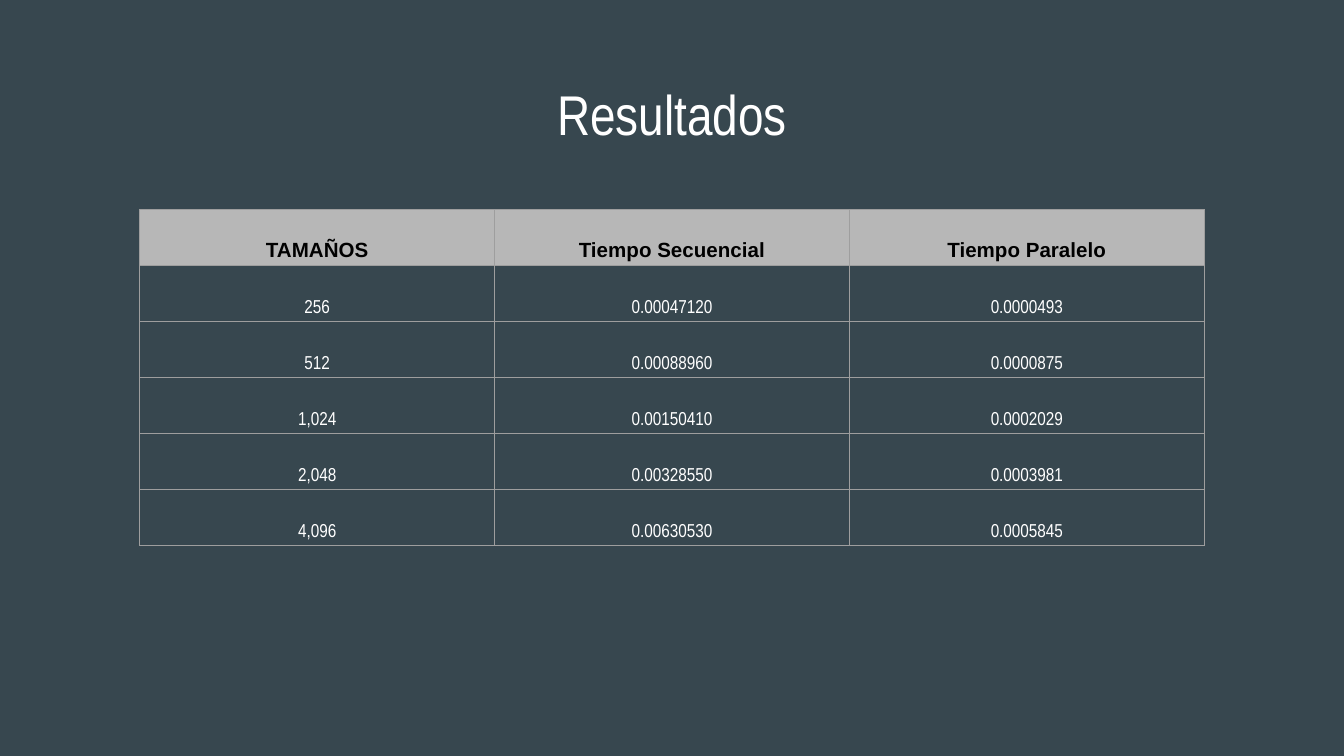
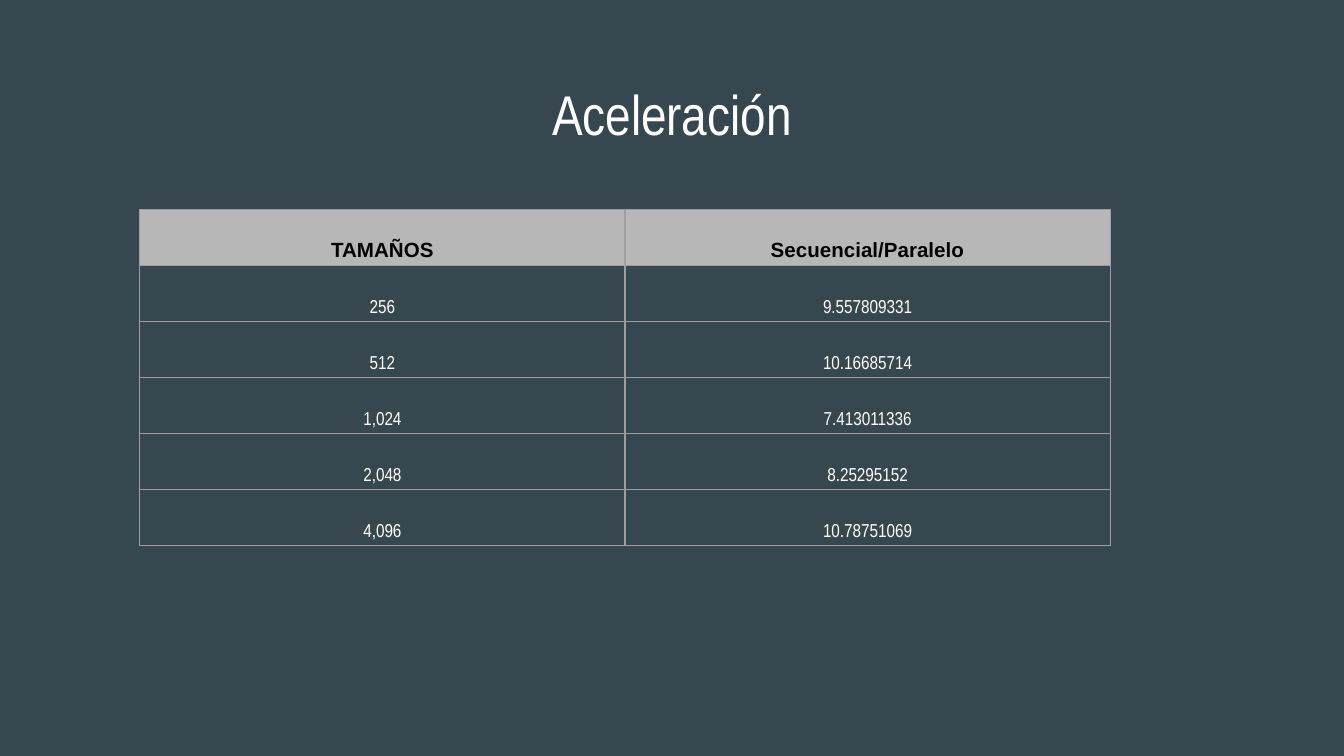
import pptx
import pptx.dml.color
import pptx.enum.text
import pptx.oxml
import pptx.oxml.ns
import pptx.util
from pptx.util import Inches

SLIDE_WIDTH = Inches(10)
SLIDE_HEIGHT = SLIDE_WIDTH * 9 // 16

BACKGROUND = "37474F"
WHITE = "FFFFFF"
BLACK = "000000"
HEADER_GRAY = "B7B7B7"
BORDER_GRAY = "9E9E9E"
BODY_FONT = "Arial Narrow"
HEADER_FONT = "Arial"

SIZES = ["256", "512", "1,024", "2,048", "4,096"]
SEQUENTIAL = ["0.00047120", "0.00088960", "0.00150410", "0.00328550", "0.00630530"]
PARALLEL = ["0.0000493", "0.0000875", "0.0002029", "0.0003981", "0.0005845"]
SPEEDUP = ["9.557809331", "10.16685714", "7.413011336", "8.25295152", "10.78751069"]

# Boxes: left, top, width, height in inches
TITLE_BOX = (0.34, 0.49, 9.32, 0.63)
TIMES_BOX = (1.04, 1.56, 7.92, 2.5)
SPEEDUP_BOX = (1.04, 1.56, 7.22, 2.5)


def color(hex_string):
    return pptx.dml.color.RGBColor.from_string(hex_string)


def style_text(paragraph, font_name, size, hex_string, bold=False):
    paragraph.alignment = pptx.enum.text.PP_ALIGN.CENTER
    for run in paragraph.runs:
        run.font.name = font_name
        run.font.size = pptx.util.Pt(size)
        run.font.color.rgb = color(hex_string)
        run.font.bold = bold


def add_borders(cell):
    properties = cell._tc.get_or_add_tcPr()
    for side in ("lnL", "lnR", "lnT", "lnB"):
        properties.append(pptx.oxml.parse_xml(
            f'<a:{side} {pptx.oxml.ns.nsdecls("a")} w="{pptx.util.Pt(0.75)}">'
            f'<a:solidFill><a:srgbClr val="{BORDER_GRAY}"/></a:solidFill>'
            f'</a:{side}>'))


def add_title(slide, box, text):
    frame = slide.shapes.add_textbox(*map(Inches, box)).text_frame
    frame.word_wrap = True
    frame.margin_left = frame.margin_right = Inches(0.1)
    frame.margin_top = frame.margin_bottom = Inches(0.1)
    frame.text = text
    style_text(frame.paragraphs[0], BODY_FONT, 30, WHITE)


def fill_cell(cell, text, is_header):
    cell.vertical_anchor = pptx.enum.text.MSO_ANCHOR.BOTTOM
    cell.margin_left = cell.margin_right = Inches(0.03)
    cell.margin_top = cell.margin_bottom = Inches(0.03)
    cell.text_frame.text = text
    paragraph = cell.text_frame.paragraphs[0]
    paragraph.line_spacing = 1.15

    # Borders come before the fill in the cell properties
    add_borders(cell)
    if is_header:
        cell.fill.solid()
        cell.fill.fore_color.rgb = color(HEADER_GRAY)
        style_text(paragraph, HEADER_FONT, 11, BLACK, bold=True)
    else:
        cell.fill.background()
        style_text(paragraph, BODY_FONT, 10, WHITE)


def add_results_table(slide, box, columns):
    """Draw a table from a dict of header -> values, with equal columns and rows."""
    rows = [list(columns), *zip(*columns.values())]
    table = slide.shapes.add_table(len(rows), len(columns), *map(Inches, box)).table
    table.horz_banding = False
    for row_index, row in enumerate(rows):
        for column_index, text in enumerate(row):
            fill_cell(table.cell(row_index, column_index), text, row_index == 0)


def add_results_slide(presentation, title, box, columns):
    slide = presentation.slides.add_slide(presentation.slide_layouts[6])
    slide.background.fill.solid()
    slide.background.fill.fore_color.rgb = color(BACKGROUND)
    add_title(slide, TITLE_BOX, title)
    add_results_table(slide, box, columns)


def main():
    presentation = pptx.Presentation()
    presentation.slide_width = SLIDE_WIDTH
    presentation.slide_height = SLIDE_HEIGHT

    # Measured times
    add_results_slide(presentation, "Resultados", TIMES_BOX, {
        "TAMAÑOS": SIZES,
        "Tiempo Secuencial": SEQUENTIAL,
        "Tiempo Paralelo": PARALLEL,
    })

    # Ratio between the times
    add_results_slide(presentation, "Aceleración", SPEEDUP_BOX, {
        "TAMAÑOS": SIZES,
        "Secuencial/Paralelo": SPEEDUP,
    })

    presentation.save("out.pptx")


if __name__ == "__main__":
    main()
